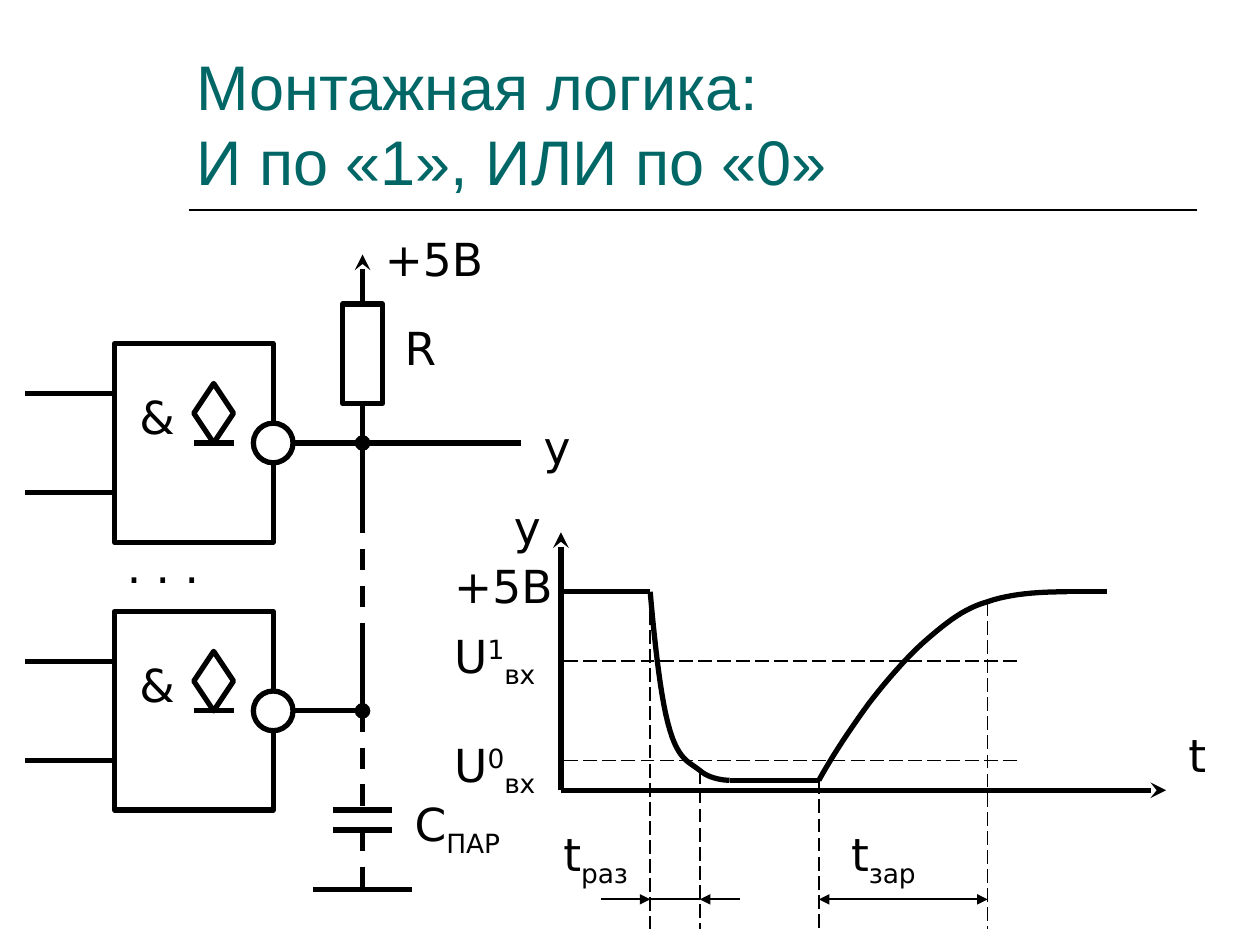
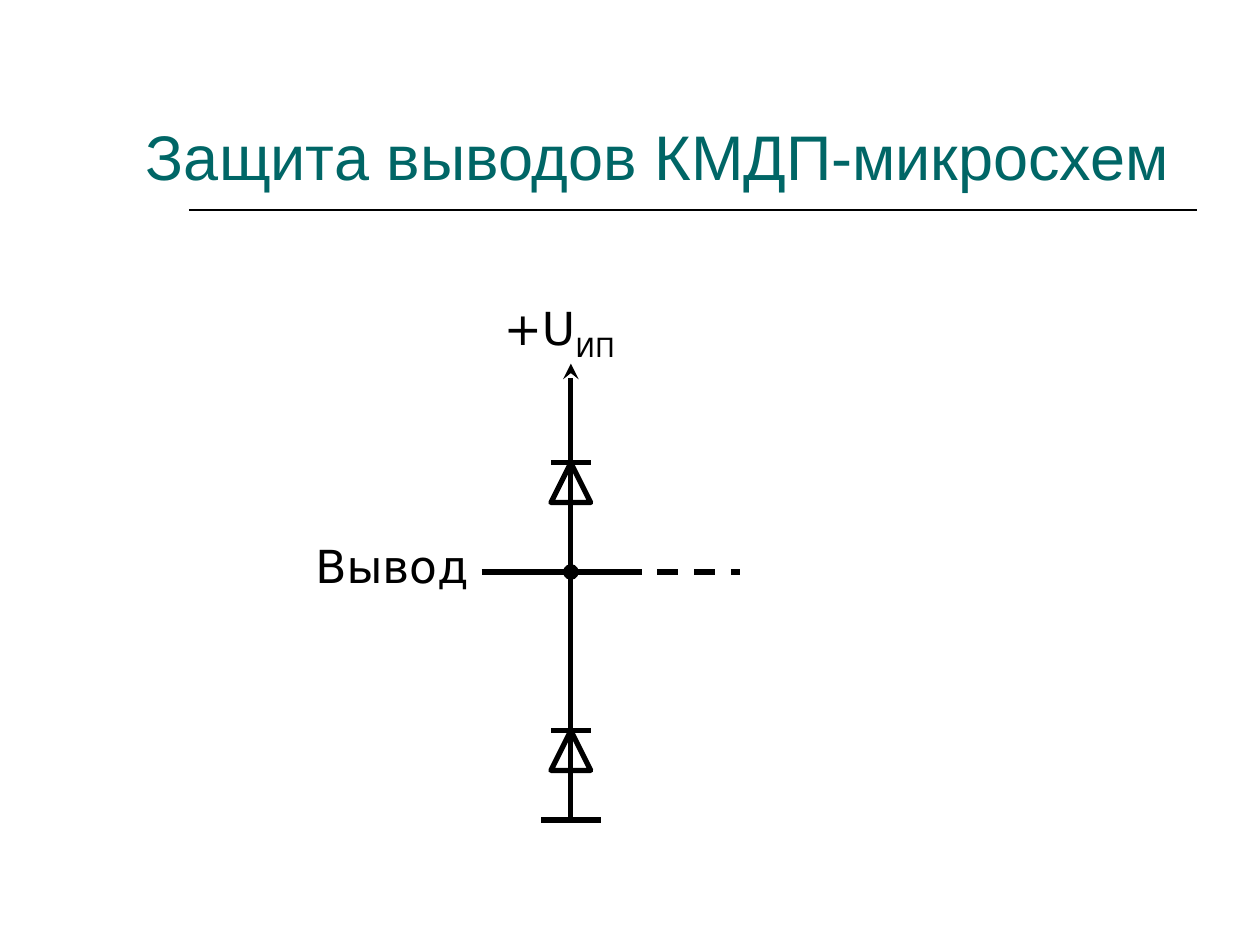
from pptx import Presentation
from pptx.dml.color import RGBColor as RGB
from pptx.enum.dml import MSO_LINE as DASH
from pptx.enum.shapes import MSO_CONNECTOR as CONN, MSO_SHAPE as SHAPE
from pptx.enum.text import MSO_ANCHOR as ANCHOR, MSO_AUTO_SIZE as AUTO, PP_ALIGN as ALIGN
from pptx.oxml.ns import qn
from pptx.util import Inches, Mm, Pt
from lxml.etree import SubElement

COLORS = {"title": "006666", "ink": "000000", "paper": "FFFFFF"}
TITLE_FONT, LABEL_FONT = "Arial", "DejaVu Sans"
THICK, THIN = 3, 1
SUB, SUP = -25000, 30000
TOP, BOTTOM, RIGHT = 0, 2, 3  # connection sites of a rectangle


def rgb(name):
    return RGB.from_string(COLORS[name])


def bezier(start, *segments, steps=12):
    """Points along a chain of cubic curves, each given by three points."""
    points = [start]
    for b, c, d in segments:
        a = points[-1]
        for i in range(1, steps + 1):
            t = i / steps
            s = 1 - t
            points.append(tuple(
                s**3 * a[k] + 3 * s * s * t * b[k] + 3 * s * t * t * c[k] + t**3 * d[k]
                for k in (0, 1)))
    return points


class Sketch:
    """Draws on a 2 mm grid; columns and rows start at the diagram's corner."""

    def __init__(self, prs):
        self.prs = prs
        self.slide = None

    def x(self, col):
        return Inches(0.2) + Mm(2 * col)

    def y(self, row):
        return Inches(2.02) + Mm(2 * row)

    def box(self, col, row, w, h):
        return self.x(col), self.y(row), Mm(2 * w), Mm(2 * h)

    def new_slide(self, title_lines, box):
        self.slide = self.prs.slides.add_slide(self.prs.slide_layouts[5])
        sp = self.slide.shapes.title
        sp.left, sp.top, sp.width, sp.height = self.box(*box)
        tf = sp.text_frame
        tf.auto_size = AUTO.NONE
        tf.word_wrap = True
        tf.vertical_anchor = ANCHOR.BOTTOM
        p = tf.paragraphs[0]
        p.alignment = ALIGN.LEFT
        for i, text in enumerate(title_lines):
            if i:
                p.add_line_break()
            self.run(p, text, TITLE_FONT, 36, "title")
        self.line(16.5, -4.45, 118.1, -4.45, THIN)

    def run(self, p, text, font=LABEL_FONT, size=26, color="ink", shift=0):
        r = p.add_run()
        r.text = text
        r.font.name, r.font.size = font, Pt(size)
        r.font.color.rgb = rgb(color)
        if shift:
            r.font._element.set("baseline", str(shift))

    def label(self, col, row, *parts, w=16):
        """Parts are plain strings or (text, baseline shift) pairs."""
        tf = self.slide.shapes.add_textbox(*self.box(col, row, w, 7)).text_frame
        tf.word_wrap = True
        for part in parts:
            text, shift = (part, 0) if isinstance(part, str) else part
            self.run(tf.paragraphs[0], text, shift=shift)

    def stroke(self, sp, width):
        sp.line.color.rgb = rgb("ink")
        sp.line.width = Pt(width)

    def shape(self, kind, col, row, w, h):
        sp = self.slide.shapes.add_shape(kind, *self.box(col, row, w, h))
        sp.shadow.inherit = False
        sp.fill.solid()
        sp.fill.fore_color.rgb = rgb("paper")
        self.stroke(sp, THICK)
        return sp

    def line(self, x1, y1, x2, y2, width=THICK, dash=None, head=None, tail=None,
             begin=None, end=None):
        sp = self.slide.shapes.add_connector(
            CONN.STRAIGHT, self.x(x1), self.y(y1), self.x(x2), self.y(y2))
        if begin:
            sp.begin_connect(*begin)
        if end:
            sp.end_connect(*end)
        self.stroke(sp, width)
        if dash:
            sp.line.dash_style = dash
        ln = sp.line._get_or_add_ln()
        for tag, kind in (("a:headEnd", head), ("a:tailEnd", tail)):
            if kind:
                SubElement(ln, qn(tag), type=kind)
        SubElement(sp._element.spPr, qn("a:effectLst"))

    def polyline(self, points, closed=False):
        pts = [(self.x(c), self.y(r)) for c, r in points]
        fb = self.slide.shapes.build_freeform(*pts[0], scale=1.0)
        fb.add_line_segments(pts[1:], close=closed)
        sp = fb.convert_to_shape()
        sp.shadow.inherit = False
        sp.fill.background()
        self.stroke(sp, THICK)

    # Circuit elements
    def gate(self, row):
        """Open-collector gate whose top edge lies on the given row."""
        mid = row + 10
        body = self.shape(SHAPE.RECTANGLE, 9, row, 16, 20)
        tf = body.text_frame
        tf.vertical_anchor = ANCHOR.MIDDLE
        tf.margin_right, tf.margin_bottom = Inches(0.68), Inches(0.47)
        tf.word_wrap = False
        p = tf.paragraphs[0]
        p.alignment = ALIGN.CENTER
        self.run(p, "&")
        self.line(25, mid, 34, mid, tail="oval", begin=(body, RIGHT))
        self.shape(SHAPE.OVAL, 23, mid - 2, 4, 4)
        for pin in (mid - 5, mid + 5):
            self.line(0, pin, 9, pin)
        self.polyline([(19, mid - 6), (21, mid - 3), (19, mid), (17, mid - 3)], closed=True)
        self.line(17, mid, 21, mid)

    def diode(self, col, row):
        self.line(col - 2, row, col + 2, row)
        self.polyline([(col, row), (col + 2, row + 4), (col - 2, row + 4)], closed=True)


def wired_logic(sk):
    sk.new_slide(["Монтажная логика:", "И по «1», ИЛИ по «0»"], (16, -25, 101.6, 20))

    # Gates with a common output
    for row in (9, 36):
        sk.gate(row)
    sk.label(9, 28, ". . .")
    sk.line(34, 19, 50, 19)
    sk.label(51, 16, "y", w=9)

    # Pull-up resistor
    resistor = sk.shape(SHAPE.RECTANGLE, 32, 5, 4, 10)
    sk.line(34, 0, 34, 5, head="stealth", end=(resistor, TOP))
    sk.line(34, 15, 34, 19, begin=(resistor, BOTTOM))
    sk.label(35, -3, "+5В")
    sk.label(37, 6, "R")

    # Common wire, stray capacitor and ground
    for top, bottom, dash in ((19, 26, None), (26, 39, DASH.DASH), (39, 46, None),
                              (46, 57, DASH.DASH), (58, 64, DASH.DASH)):
        sk.line(34, top, 34, bottom, dash=dash)
    for row, half in ((56, 3), (58, 3), (64, 5)):
        sk.line(34 - half, row, 34 + half, row)
    sk.label(38, 54, "C", ("ПАР", SUB))

    # Chart axes and levels
    sk.line(54, 54, 54, 28, tail="stealth")
    sk.line(54, 54, 115, 54, tail="stealth")
    sk.label(48, 24, "y", w=9)
    sk.label(116, 47, "t", w=7)
    sk.label(42, 30, "+5В")
    for row, label_row, level in ((41, 37, "1"), (51, 48, "0")):
        sk.line(100, row, 54, row, THIN, DASH.LONG_DASH)
        sk.label(42, label_row, "U", (level, SUP), ("вх", SUB))

    # Output voltage: high, discharge, low, charge, high
    for x1, x2, row in ((54, 63, 34), (71, 80, 53), (105, 109, 34)):
        sk.line(x1, row, x2, row)
    sk.polyline(bezier((63, 34),
                       ((63.5, 39.6), (64.1, 45.1), (65, 48)),
                       ((65.9, 51), (67, 51.2), (68, 52)),
                       ((69, 52.9), (70.6, 53), (71, 53))))
    sk.polyline(bezier((80, 53),
                       ((81.5, 50.3), (83.2, 47.8), (85, 45.3)),
                       ((86.7, 43.1), (88.9, 40.5), (91, 38.7)),
                       ((93, 37), (94.6, 35.7), (97, 35)),
                       ((99.3, 34.2), (102.1, 34), (105, 34))))

    # Time marks
    for col, row in ((63, 34), (68, 52), (80, 53), (97, 35)):
        sk.line(col, row, col, 68, THIN, DASH.LONG_DASH)
    for x1, x2, tail in ((58, 63, "triangle"), (63, 68, None), (72, 68, "triangle"),
                         (84, 97, "triangle"), (84, 80, "triangle")):
        sk.line(x1, 65, x2, 65, THIN, tail=tail)
    for col, name in ((53, "раз"), (82, "зар")):
        sk.label(col, 57, "t", (name, SUB), w=11)


def pin_protection(sk):
    sk.new_slide(["Защита выводов КМДП-микросхем"], (10.9, -21.5, 107, 15.9))

    # Supply rail and ground
    sk.label(47, 4, "+U", ("ИП", SUB))
    sk.line(55, 11, 55, 57, head="stealth")
    sk.line(52, 57, 58, 57)

    # Clamping diodes
    for row in (21, 48):
        sk.diode(55, row)

    # Pin
    sk.label(28, 28, "Вывод", w=21)
    sk.line(46, 32, 55, 32, tail="oval")
    sk.line(55, 32, 60, 32)
    sk.line(60, 32, 72, 32, dash=DASH.DASH)


def main():
    prs = Presentation()
    prs.slide_width, prs.slide_height = Inches(10), Inches(7.5)
    sk = Sketch(prs)
    wired_logic(sk)
    pin_protection(sk)
    prs.save("out.pptx")


if __name__ == "__main__":
    main()
